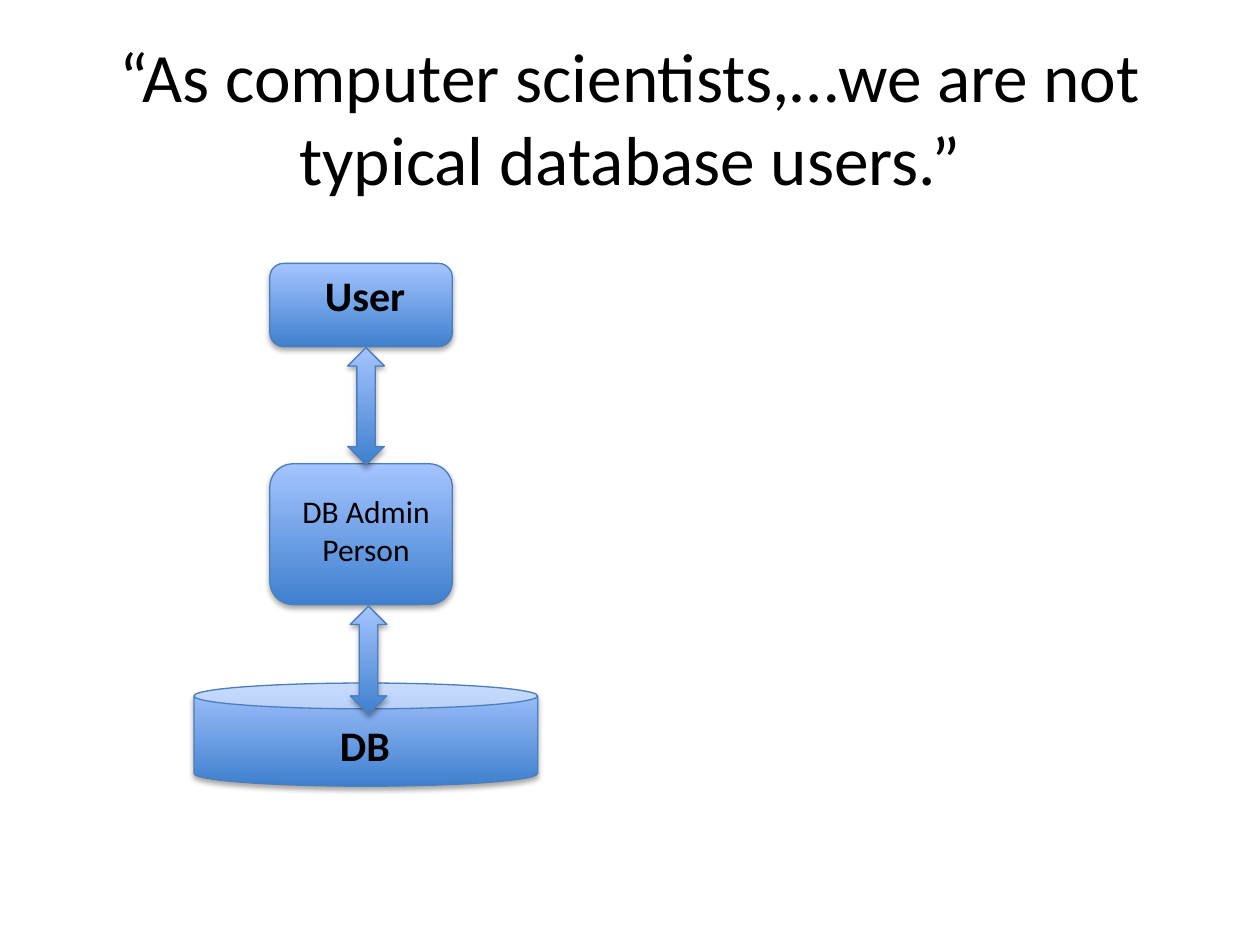
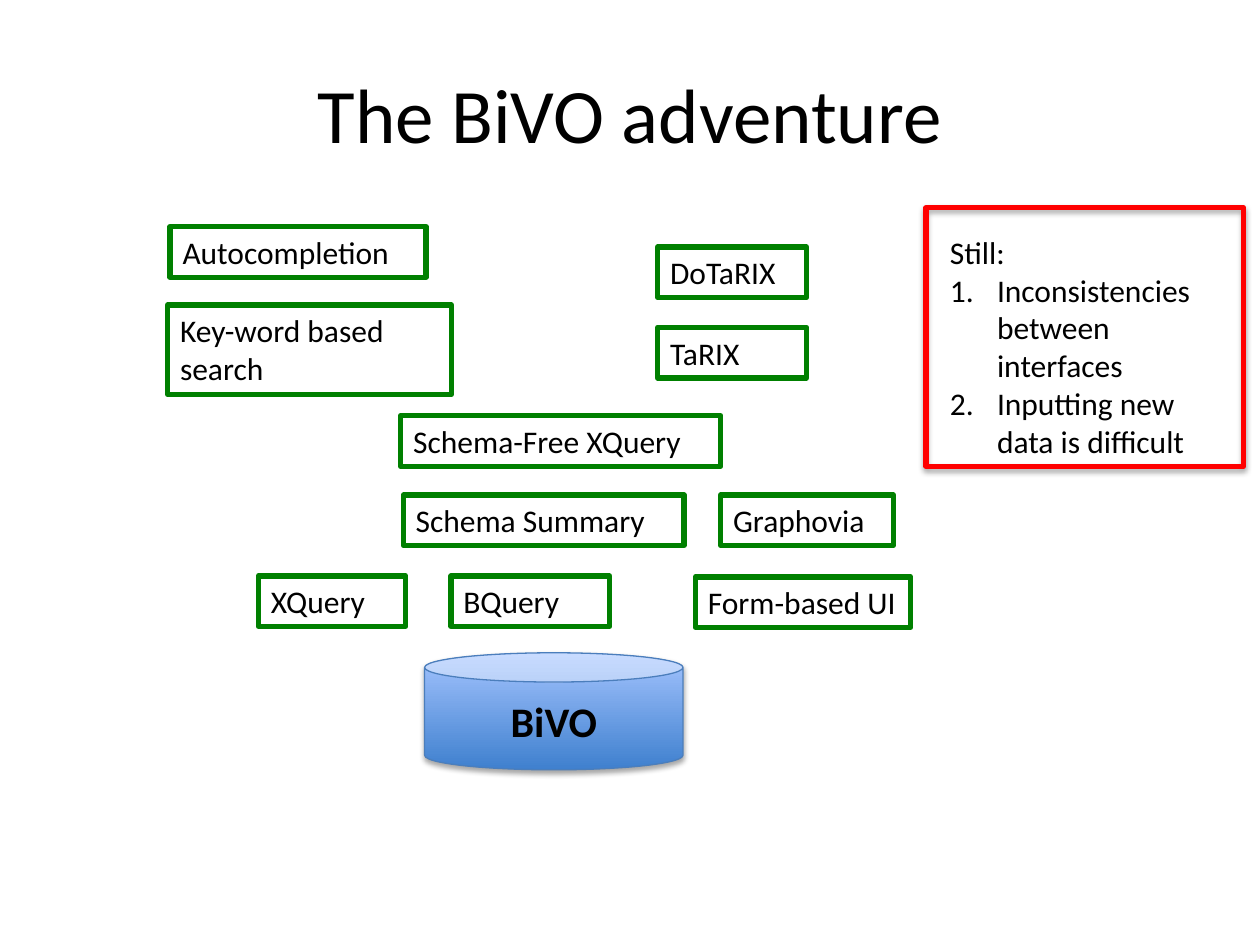
from lxml.etree import SubElement
from pptx import Presentation
from pptx.dml.color import RGBColor
from pptx.enum.shapes import MSO_SHAPE
from pptx.enum.text import MSO_ANCHOR, MSO_AUTO_SIZE, PP_ALIGN
from pptx.oxml.ns import qn
from pptx.util import Cm, Pt

COLORS = {
    "text": "000000",
    "gradient_bottom": "3F80CE",
    "gradient_top": "A4C4FF",
    "outline": "4B7EBC",
    "interface": "008000",
    "warning": "FF0000",
    "shadow": "000000",
}
FONT = "Calibri"
BODY = {"size": Pt(18), "bold": False}
LABEL = {"size": Pt(24), "bold": True}
ROW_HEIGHT = 1.02


def color(name):
    return RGBColor.from_string(COLORS[name])


def set_values(target, values):
    for name, value in values.items():
        setattr(target, name, value)


def write_paragraph(paragraph, text, font_values, alignment):
    paragraph.alignment = alignment
    run = paragraph.add_run()
    run.text = text
    set_values(run.font, {"name": FONT, **font_values})
    run.font.color.rgb = color("text")


def set_line(shape, name, width):
    shape.line.color.rgb = color(name)
    shape.line.width = Pt(width)


def add_shadow(shape):
    shape.shadow.inherit = False
    effects = shape._element.spPr.find(qn("a:effectLst"))
    shadow = SubElement(effects, qn("a:outerShdw"), blurRad="40000",
                        dist="23000", dir="5400000", rotWithShape="0")
    shadow_color = SubElement(shadow, qn("a:srgbClr"), val=COLORS["shadow"])
    SubElement(shadow_color, qn("a:alpha"), val="35000")


def add_title_slide(presentation, text, top, size):
    slide = presentation.slides.add_slide(presentation.slide_layouts[5])
    title = slide.shapes.title
    set_values(title, {"left": Cm(1.27), "top": Cm(top),
                       "width": Cm(22.86), "height": Cm(3.18)})
    set_values(title.text_frame, {"word_wrap": True,
                                  "auto_size": MSO_AUTO_SIZE.NONE,
                                  "vertical_anchor": MSO_ANCHOR.MIDDLE})
    write_paragraph(title.text_frame.paragraphs[0], text,
                    {"size": Pt(size)}, PP_ALIGN.CENTER)
    return slide


def add_gradient_shape(slide, kind, left, top, width, height):
    shape = slide.shapes.add_shape(kind, Cm(left), Cm(top), Cm(width), Cm(height))
    shape.fill.gradient()
    shape.fill.gradient_angle = 90
    stops = zip(shape.fill.gradient_stops, (0, 1),
                ("gradient_bottom", "gradient_top"))
    for stop, position, name in stops:
        stop.position = position
        stop.color.rgb = color(name)
    set_line(shape, "outline", 0.75)
    add_shadow(shape)


def add_text(slide, lines, left, top, width, height,
             font_values=BODY, alignment=PP_ALIGN.CENTER):
    box = slide.shapes.add_textbox(Cm(left), Cm(top), Cm(width), Cm(height))
    frame = box.text_frame
    set_values(frame, {"word_wrap": True,
                       "auto_size": MSO_AUTO_SIZE.SHAPE_TO_FIT_TEXT})
    for index, line in enumerate(lines):
        paragraph = frame.add_paragraph() if index else frame.paragraphs[0]
        write_paragraph(paragraph, line, font_values, alignment)
    return box


def add_interface(slide, text, left, top, width, height=ROW_HEIGHT):
    box = add_text(slide, [text], left, top, width, height,
                   alignment=PP_ALIGN.LEFT)
    set_line(box, "interface", 3)


def number_paragraph(paragraph):
    properties = paragraph._p.get_or_add_pPr()
    properties.set("marL", str(Cm(0.95)))
    properties.set("indent", str(-Cm(0.95)))
    SubElement(properties, qn("a:buFont"), typeface="+mj-lt")
    SubElement(properties, qn("a:buAutoNum"), type="arabicPeriod")


def add_warning(slide):
    frame = slide.shapes.add_shape(MSO_SHAPE.RECTANGLE, Cm(18.67), Cm(4.19),
                                   Cm(6.4), Cm(5.21))
    frame.fill.background()
    set_line(frame, "warning", 3)
    add_shadow(frame)
    lines = ["Still:", "Inconsistencies between interfaces",
             "Inputting new data is difficult"]
    box = add_text(slide, lines, 18.9, 4.57, 5.77, 4.88,
                   alignment=PP_ALIGN.LEFT)
    for paragraph in box.text_frame.paragraphs[1:]:
        number_paragraph(paragraph)


def build_users_slide(presentation):
    slide = add_title_slide(
        presentation,
        "“As computer scientists,…we are not typical database users.”",
        0.76, 39.6)
    add_gradient_shape(slide, MSO_SHAPE.CAN, 3.91, 13.77, 6.93, 2.08)
    for top, height in ((9.35, 2.84), (5.31, 1.68)):
        add_gradient_shape(slide, MSO_SHAPE.ROUNDED_RECTANGLE,
                           5.44, top, 3.68, height)
    add_text(slide, ["DB"], 5.31, 14.38, 4.09, 1.27, LABEL)
    add_text(slide, ["DB Admin Person"], 5.54, 9.8, 3.68, 1.8)
    add_text(slide, ["User"], 5.94, 5.31, 2.84, 1.27, LABEL)
    for left, top, height in ((7.01, 7.01, 2.36), (7.06, 12.22, 2.18)):
        add_gradient_shape(slide, MSO_SHAPE.UP_DOWN_ARROW,
                           left, top, 0.74, height)


def build_adventure_slide(presentation):
    slide = add_title_slide(presentation, "The BiVO adventure", 0.69, 44)
    add_gradient_shape(slide, MSO_SHAPE.CAN, 8.56, 13.16, 5.21, 2.36)
    add_text(slide, ["BiVO"], 8.56, 13.89, 5.21, 1.27, LABEL)
    interfaces = [
        ("XQuery", 5.21, 11.61, 2.97),
        ("Form-based UI", 14.02, 11.63, 4.34),
        ("BQuery", 9.09, 11.61, 3.2),
        ("Schema Summary", 8.13, 9.98, 5.66),
        ("Schema-Free XQuery", 8.08, 8.38, 6.45),
        ("Key-word based search", 3.38, 6.15, 5.72, 1.8),
        ("Autocompletion", 3.43, 4.57, 5.16),
        ("TaRIX", 13.26, 6.6, 3),
        ("DoTaRIX", 13.26, 4.98, 3),
        ("Graphovia", 14.53, 9.98, 3.48),
    ]
    for interface in interfaces:
        add_interface(slide, *interface)
    add_warning(slide)


def main():
    presentation = Presentation()
    set_values(presentation, {"slide_width": Cm(25.4),
                              "slide_height": Cm(19.05)})
    build_users_slide(presentation)
    build_adventure_slide(presentation)
    presentation.save("out.pptx")


main()
